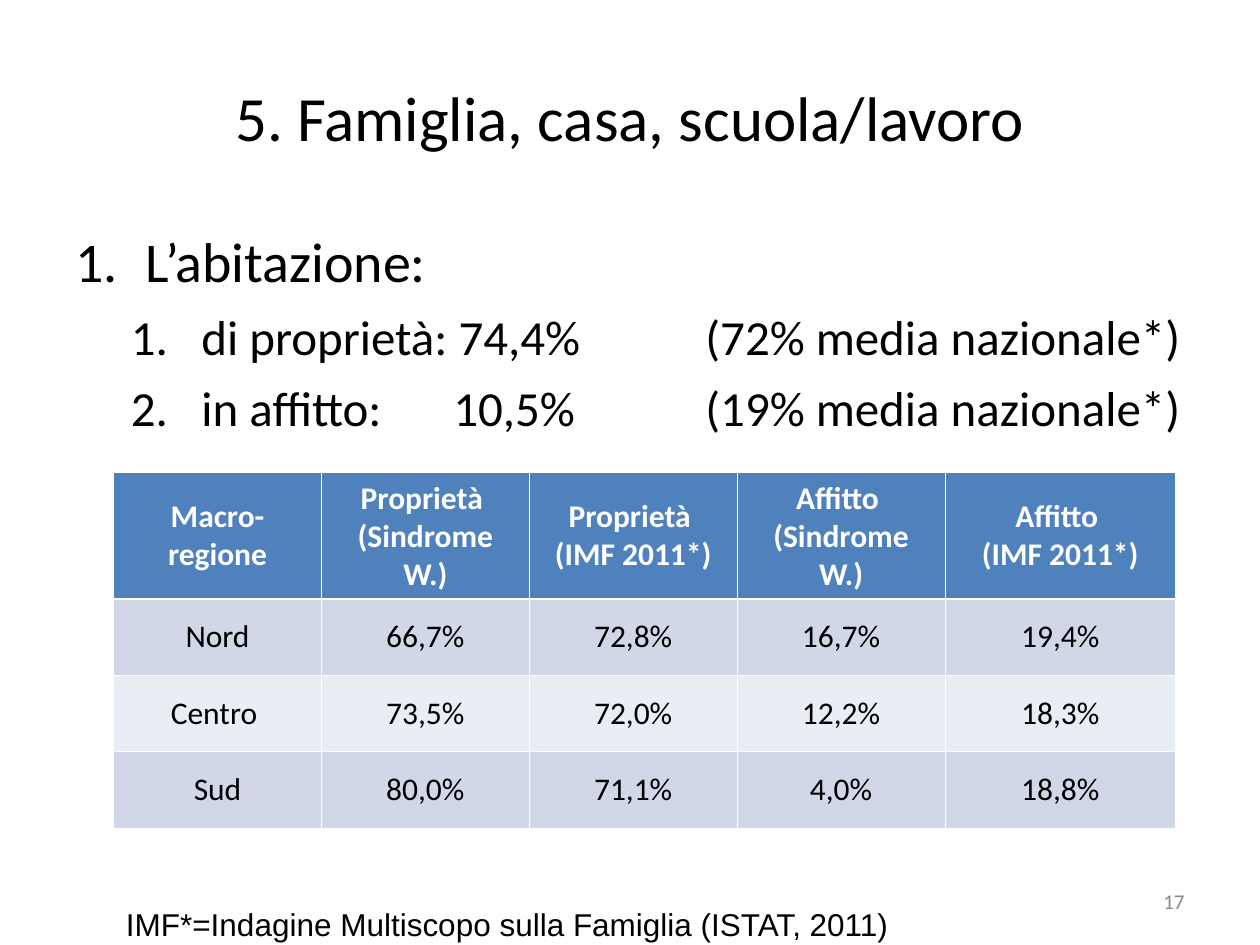
import dataclasses

import lxml.etree
import pptx
import pptx.dml.color
import pptx.enum.text
import pptx.oxml.ns
import pptx.util

Cm = pptx.util.Cm
Pt = pptx.util.Pt
ALIGN = pptx.enum.text.PP_ALIGN
ANCHOR = pptx.enum.text.MSO_ANCHOR


@dataclasses.dataclass(frozen=True)
class Theme:
    """Colours, fonts and type sizes of the slide."""

    font: str = "Calibri"
    note_font: str = "Arial"
    ink: str = "000000"
    paper: str = "FFFFFF"
    muted: str = "898989"
    header: str = "4F81BD"
    bands: tuple = ("D0D8E8", "E9EDF4")
    title_size: int = 36
    list_sizes: tuple = (32, 28)
    text_size: int = 18
    number_size: int = 12
    thin: float = 0.45
    thick: float = 1.47


THEME = Theme()
TITLE = "5. Famiglia, casa, scuola/lavoro"
HOUSING = [
    (0, "L’abitazione: "),
    (1, "di proprietà: 74,4% \t(72% media nazionale*)"),
    (1, "in affitto: \t10,5% \t(19% media nazionale*)"),
]
REGIONS = [
    ["Macro-regione", "Proprietà \n(Sindrome W.)", "Proprietà \n(IMF 2011*)",
     "Affitto \n(Sindrome W.)", "Affitto \n(IMF 2011*)"],
    ["Nord", "66,7%", "72,8%", "16,7%", "19,4%"],
    ["Centro ", "73,5%", "72,0%", "12,2%", "18,3%"],
    ["Sud", "80,0%", "71,1%", "4,0%", "18,8%"],
]


def add_element(parent, tag, **attributes):
    """Append a DrawingML element with the given attributes."""
    element = lxml.etree.SubElement(parent, pptx.oxml.ns.qn(tag))
    for name, value in attributes.items():
        element.set(name, str(value))
    return element


def write_text(paragraph, text, size=THEME.text_size, font=THEME.font,
               color=THEME.ink, bold=False, align=ALIGN.LEFT):
    """Write formatted text into a paragraph."""
    paragraph.alignment = align
    run = paragraph.add_run()
    run.text = text
    run.font.name = font
    run.font.size = Pt(size)
    run.font.bold = bold
    run.font.color.rgb = pptx.dml.color.RGBColor.from_string(color)


def add_text_frame(slide, box, anchor=ANCHOR.TOP):
    """Add a wrapping text box and return its text frame."""
    frame = slide.shapes.add_textbox(*map(Cm, box)).text_frame
    frame.word_wrap = True
    frame.vertical_anchor = anchor
    return frame


def add_line(slide, box, text, anchor=ANCHOR.TOP, **text_format):
    """Add a text box holding a single paragraph."""
    frame = add_text_frame(slide, box, anchor)
    write_text(frame.paragraphs[0], text, **text_format)


def number_paragraph(paragraph, level):
    """Give a paragraph its automatic number, hanging indent and tab stops."""
    paragraph.level = level
    properties = paragraph._p.get_or_add_pPr()
    properties.set("marL", str(Cm((1.42, 2.54)[level])))
    properties.set("indent", str(Cm(-1.42)))
    color = add_element(properties, "a:buClr")
    add_element(color, "a:srgbClr", val=THEME.ink)
    add_element(properties, "a:buFont", typeface=THEME.font)
    add_element(properties, "a:buAutoNum", type="arabicPeriod")
    tabs = add_element(properties, "a:tabLst")
    for inches in range(2 + level - 1, 10):
        add_element(tabs, "a:tab", pos=Cm(2.54 * inches), algn="l")


def add_numbered_list(slide, box, items):
    """Add the two-level numbered list."""
    frame = add_text_frame(slide, box)
    for index, (level, text) in enumerate(items):
        paragraph = frame.add_paragraph() if index else frame.paragraphs[0]
        number_paragraph(paragraph, level)
        if index:
            paragraph.space_before = Pt(7)
        write_text(paragraph, text, size=THEME.list_sizes[level],
                   align=ALIGN.JUSTIFY)


def set_borders(cell, top, bottom):
    """Draw the four white borders of a cell."""
    properties = cell._tc.get_or_add_tcPr()
    widths = {"L": THEME.thin, "R": THEME.thin, "T": top, "B": bottom}
    for side, width in widths.items():
        line = add_element(properties, "a:ln" + side, w=Pt(width))
        fill = add_element(line, "a:solidFill")
        add_element(fill, "a:srgbClr", val=THEME.paper)


def fill_cell(cell, text, row, column):
    """Write and format one table cell according to its position."""
    is_header = row == 0
    set_borders(cell, top=THEME.thick if row == 1 else THEME.thin,
                bottom=THEME.thick if is_header else THEME.thin)
    background = THEME.header if is_header else THEME.bands[(row - 1) % 2]
    cell.fill.solid()
    cell.fill.fore_color.rgb = pptx.dml.color.RGBColor.from_string(background)
    cell.vertical_anchor = ANCHOR.MIDDLE
    if not is_header and column:
        cell.margin_left = cell.margin_right = Cm(0.03)
    for index, line in enumerate(text.split("\n")):
        frame = cell.text_frame
        paragraph = frame.add_paragraph() if index else frame.paragraphs[0]
        write_text(paragraph, line, bold=is_header, align=ALIGN.CENTER,
                   color=THEME.paper if is_header else THEME.ink)


def add_region_table(slide, box, rows):
    """Add the table of tenure by macro-region."""
    width, height = box[2:]
    column_width, header_height = 4.19, 2.54
    columns = len(rows[0])
    table = slide.shapes.add_table(len(rows), columns, *map(Cm, box)).table
    for column in table.columns:
        column.width = Cm(column_width)
    table.columns[columns - 1].width = Cm(width - column_width * (columns - 1))
    for row in table.rows:
        row.height = Cm((height - header_height) / (len(rows) - 1))
    table.rows[0].height = Cm(header_height)
    for row, texts in enumerate(rows):
        for column, text in enumerate(texts):
            fill_cell(table.cell(row, column), text, row, column)


def main():
    """Build the slide and save it."""
    presentation = pptx.Presentation()
    presentation.slide_width, presentation.slide_height = Cm(25.4), Cm(19.05)
    slide = presentation.slides.add_slide(presentation.slide_layouts[6])
    add_line(slide, (1.27, 0.76, 22.86, 3.18), TITLE, anchor=ANCHOR.MIDDLE,
             size=THEME.title_size, align=ALIGN.CENTER)
    add_numbered_list(slide, (1.27, 4.45, 22.86, 5.08), HOUSING)
    add_region_table(slide, (2.29, 9.53, 21.41, 7.16), REGIONS)
    add_line(slide, (18.21, 17.65, 5.92, 1.02), "17", anchor=ANCHOR.MIDDLE,
             size=THEME.number_size, color=THEME.muted, align=ALIGN.RIGHT)
    add_line(slide, (2.29, 18.11, 20.8, 1.02),
             "IMF*=Indagine Multiscopo sulla Famiglia (ISTAT, 2011)",
             font=THEME.note_font)
    presentation.save("out.pptx")


if __name__ == "__main__":
    main()
